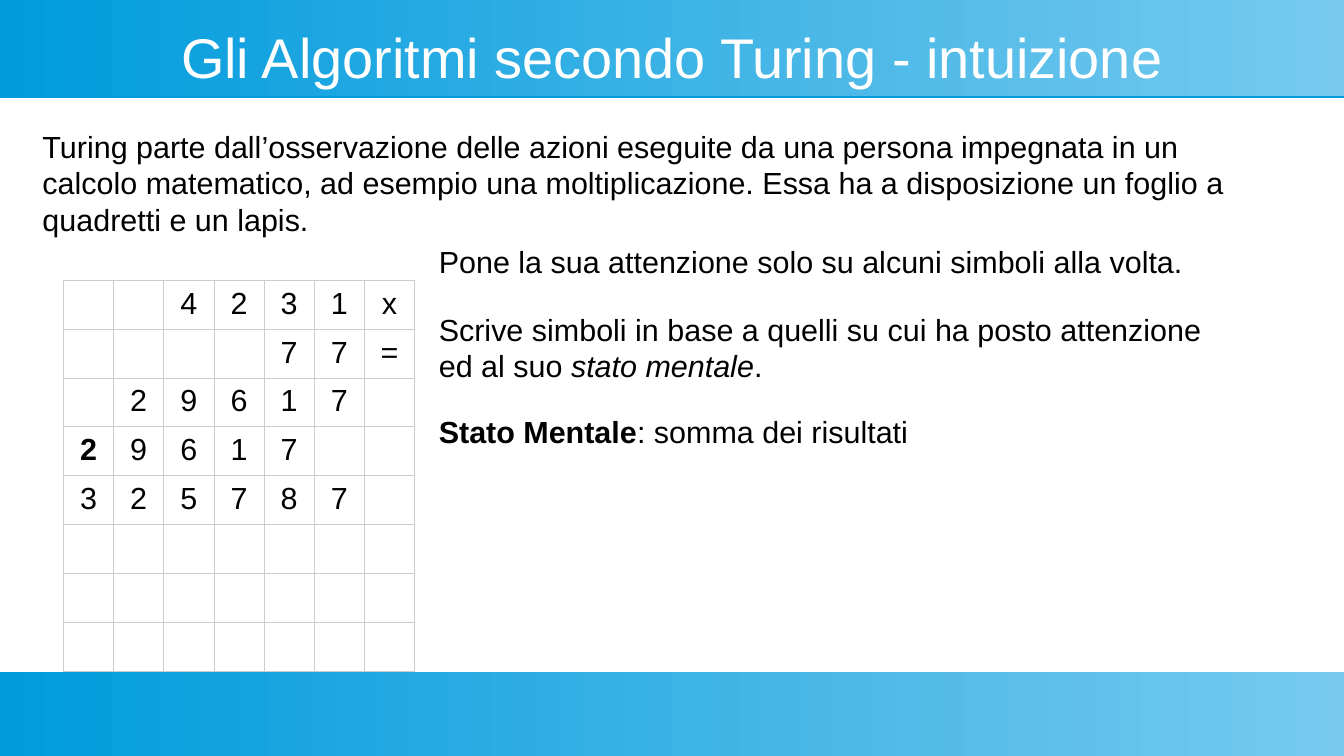
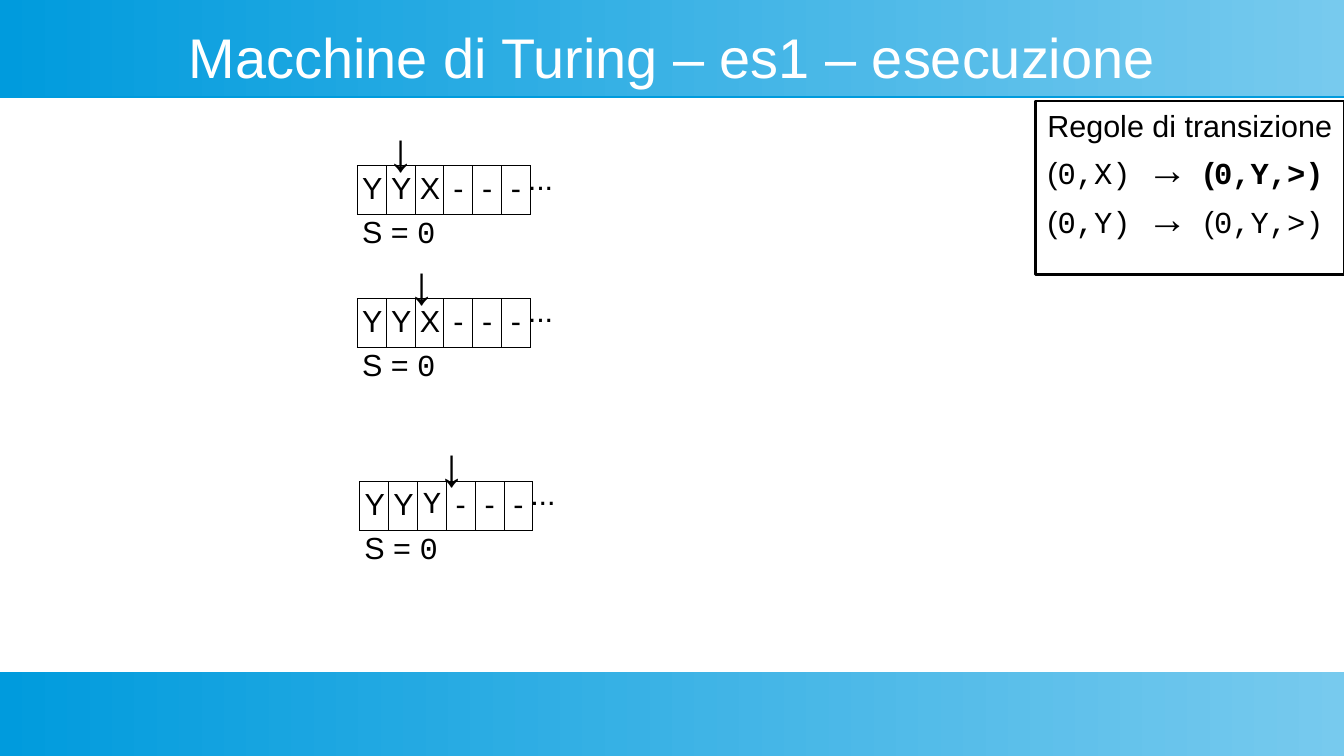
from lxml import etree
from pptx import Presentation, util as u
from pptx.dml.color import RGBColor
from pptx.enum import shapes, text
from pptx.oxml.ns import qn

WIDTH, HEIGHT = 11.02, 6.2
BLACK = RGBColor(0, 0, 0)
WHITE = RGBColor(255, 255, 255)
GRID_GREY = RGBColor(0xCC, 0xCC, 0xCC)
BAND_DARK = RGBColor(0x00, 0x9B, 0xDD)
BAND_LIGHT = RGBColor(0x77, 0xCA, 0xEE)
SANS, MONO = "Arial", "Courier New"
BANDS = [(0, 0.79), (5.51, 0.69)]
ROW_HEIGHT = 0.4

INTUITION_TITLE = "Gli Algoritmi secondo Turing - intuizione"
INTRO = ("Turing parte dall’osservazione delle azioni eseguite da una persona impegnata in un "
         "calcolo matematico, ad esempio una moltiplicazione. Essa ha a disposizione un foglio a "
         "quadretti e un lapis.")
MULTIPLICATION = ["  4231x", "    77=", " 29617 ", "29617  ", "325787 ", " " * 7, " " * 7, " " * 7]
CARRY = {(3, 0): {"bold": True}}
REMARKS = [
    (1.94, 0.56, [["Pone la sua attenzione solo su alcuni simboli alla volta."]]),
    (2.5, 0.66, [["Scrive simboli in base a quelli su cui ha posto attenzione"],
                 ["ed al suo ", ("stato mentale", {"italic": True}), "."]]),
    (3.34, 0.56, [[("Stato Mentale", {"bold": True}), ": somma dei risultati"]]),
]

EXECUTION_TITLE = "Macchine di Turing – es1 – esecuzione"
RULES = [("0,X)", "0,Y,>)", True), ("0,Y)", "0,Y,>)", False)]
STEPS = [
    {"tape": "YYX---", "left": 2.93, "top": 1.36, "head": 0.15, "formats": {}},
    {"tape": "YYX---", "left": 2.93, "top": 2.45, "head": 0.32, "formats": {}},
    {"tape": "YYY---", "left": 2.95, "top": 3.95, "head": 0.55, "formats": {(0, 2): {"font": MONO}}},
]


def write(frame, paragraphs, size=18, color=BLACK, font=SANS, bold=False, align=text.PP_ALIGN.LEFT):
    for index, runs in enumerate(paragraphs):
        paragraph = frame.add_paragraph() if index else frame.paragraphs[0]
        paragraph.alignment = align
        for item in runs:
            content, changes = (item, {}) if isinstance(item, str) else item
            run = paragraph.add_run()
            run.text = content
            run.font.name = changes.get("font", font)
            run.font.size = u.Pt(changes.get("size", size))
            run.font.bold = changes.get("bold", bold)
            run.font.italic = changes.get("italic", False)
            run.font.color.rgb = color


def place(left, top, width, height):
    return [u.Inches(value) for value in (left, top, width, height)]


def add_text(slide, box, paragraphs, **style):
    frame = slide.shapes.add_textbox(*place(*box)).text_frame
    frame.word_wrap = True
    write(frame, paragraphs, **style)


def add_grid(slide, left, top, width, rows, border, formats):
    columns = len(rows[0])
    table = slide.shapes.add_table(len(rows), columns, *place(
        left, top, width, len(rows) * ROW_HEIGHT)).table
    table.first_row = table.horz_banding = False
    for row, symbols in enumerate(rows):
        for column, symbol in enumerate(symbols):
            cell = table.cell(row, column)
            cell.margin_left = cell.margin_right = u.Inches(0.04)
            properties = cell._tc.get_or_add_tcPr()
            for side in ("lnL", "lnR", "lnT", "lnB"):
                line = etree.SubElement(properties, qn("a:" + side), w=str(u.Pt(0.57)))
                fill = etree.SubElement(line, qn("a:solidFill"))
                etree.SubElement(fill, qn("a:srgbClr"), val=str(border))
            cell.fill.background()
            if symbol.strip():
                write(cell.text_frame, [[symbol]], align=text.PP_ALIGN.CENTER,
                      **formats.get((row, column), {}))


def add_bands(slide, layout):
    for position, (top, height) in enumerate(BANDS):
        band = slide.shapes.add_shape(shapes.MSO_SHAPE.RECTANGLE, *place(0, top, WIDTH, height))
        band.line.fill.background()
        band.fill.gradient()
        band.fill.gradient_angle = 0
        for stop, color in zip(band.fill.gradient_stops, (BAND_DARK, BAND_LIGHT)):
            stop.color.rgb = color
        band.shadow.inherit = False
        effects = band.element.spPr.find(qn("a:effectLst"))
        shadow = etree.SubElement(effects, qn("a:outerShdw"), dist=str(u.Pt(0.9)), dir="5400000")
        etree.SubElement(shadow, qn("a:srgbClr"), val=str(BAND_DARK))
        layout.shapes.element.insert(2 + position, band.element)


def add_slide(presentation, layout, title):
    slide = presentation.slides.add_slide(layout)
    shape = slide.shapes.title
    shape.left, shape.top, shape.width, shape.height = place(0.39, 0.2, 10.24, 0.52)
    frame = shape.text_frame
    frame.margin_left = frame.margin_right = frame.margin_top = frame.margin_bottom = 0
    frame.vertical_anchor = text.MSO_ANCHOR.MIDDLE
    frame.auto_size = text.MSO_AUTO_SIZE.NONE
    write(frame, [[title]], size=33, color=WHITE, align=text.PP_ALIGN.CENTER)
    return slide


def add_rules(slide):
    box = slide.shapes.add_shape(shapes.MSO_SHAPE.RECTANGLE, *place(8.49, 0.83, 2.53, 1.42))
    box.shadow.inherit = False
    box.fill.background()
    box.line.color.rgb = BLACK
    box.line.width = u.Pt(1.42)
    frame = box.text_frame
    frame.word_wrap = False
    frame.vertical_anchor = text.MSO_ANCHOR.TOP
    paragraphs = [["Regole di transizione"]]
    for state, action, active in RULES:
        paragraphs.append([
            "(", (state, {"font": MONO}),
            (" → ", {"font": MONO, "size": 24, "bold": active}),
            ("(", {"bold": active}), (action, {"font": MONO, "bold": active})])
    write(frame, paragraphs)


def add_step(slide, step):
    left, top = step["left"], step["top"]
    add_grid(slide, left, top, 1.42, [step["tape"]], BLACK, step["formats"])
    add_text(slide, (left + step["head"], top - 0.45, 0.5, 0.6), [["↓"]], size=32)
    add_text(slide, (left - 0.06, top + 0.34, 1.11, 0.43), [["S = ", ("0", {"font": MONO})]])
    add_text(slide, (left + 1.3, top - 0.1, 0.5, 0.5), [["..."]])


def main():
    presentation = Presentation()
    presentation.slide_width, presentation.slide_height = u.Inches(WIDTH), u.Inches(HEIGHT)
    layout = presentation.slide_layouts[5]

    intuition = add_slide(presentation, layout, INTUITION_TITLE)
    add_bands(intuition, layout)
    add_text(intuition, (0.25, 1, 10.25, 0.94), [[INTRO]])
    add_grid(intuition, 0.52, 2.3, 2.88, MULTIPLICATION, GRID_GREY, CARRY)
    for top, height, paragraphs in REMARKS:
        add_text(intuition, (3.5, top, 6.5, height), paragraphs)

    execution = add_slide(presentation, layout, EXECUTION_TITLE)
    add_rules(execution)
    for step in STEPS:
        add_step(execution, step)
    presentation.save("out.pptx")


if __name__ == "__main__":
    main()
